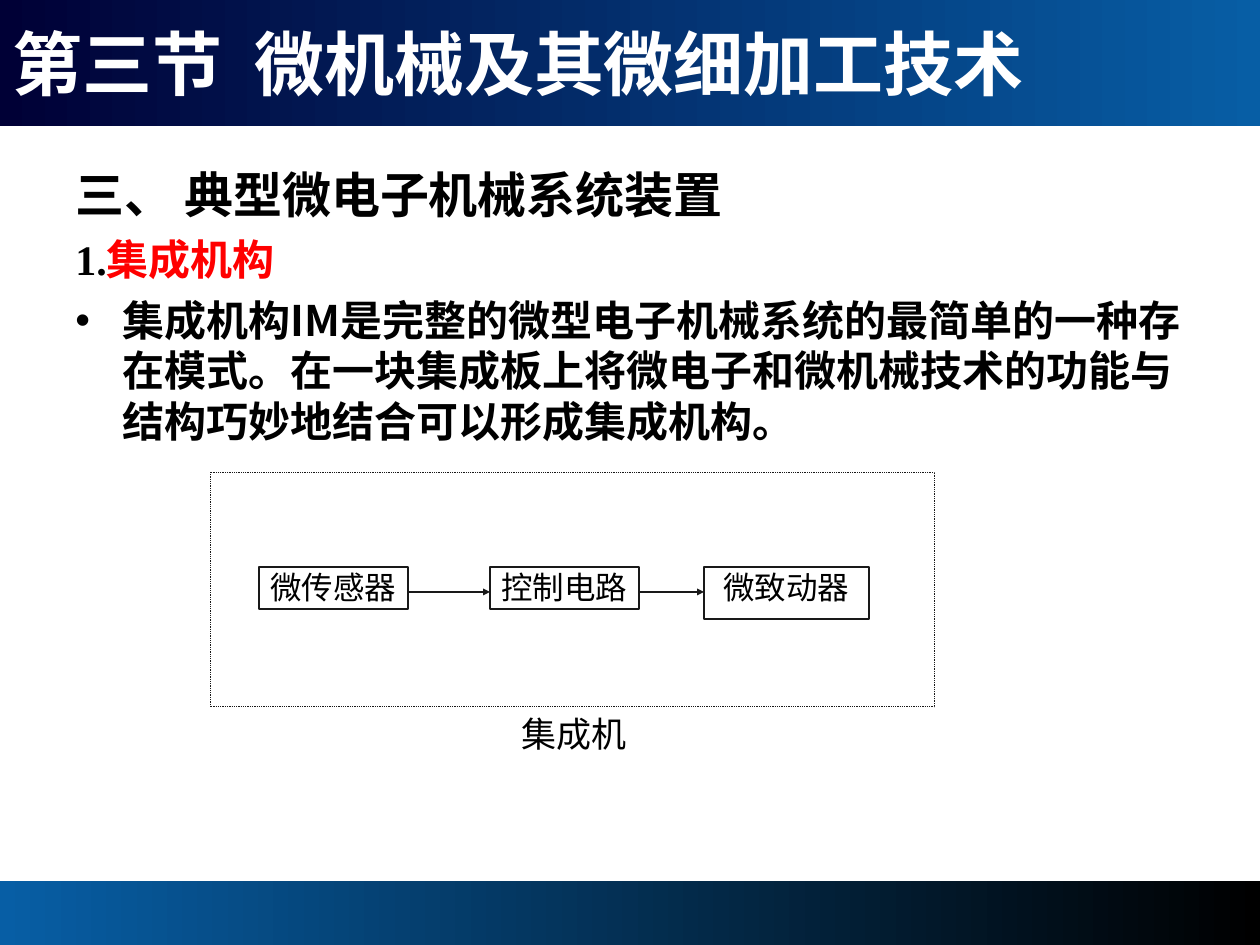
from lxml.etree import SubElement
from pptx import Presentation
from pptx.dml.color import RGBColor
from pptx.enum.dml import MSO_LINE
from pptx.enum.shapes import MSO_CONNECTOR, MSO_SHAPE
from pptx.enum.text import MSO_ANCHOR, PP_ALIGN
from pptx.oxml.ns import qn
from pptx.util import Emu, Pt

PX = 914400 // 126
WHITE = RGBColor(255, 255, 255)
BLACK = RGBColor(0, 0, 0)
RED = RGBColor(255, 0, 0)
INK = RGBColor(0x19, 0x19, 0x19)
NAVY = RGBColor(0, 0, 0x36)
BLUE = RGBColor(0x07, 0x5E, 0xA5)
SERIF, SANS, HAN = "Times New Roman", "Calibri", "Noto Sans CJK SC"

deck = Presentation()
deck.slide_width, deck.slide_height = Emu(1260 * PX), Emu(945 * PX)
slide = deck.slides.add_slide(deck.slide_layouts[6])
shapes = slide.shapes


def add_rect(x, y, w, h, line=None):
    """Add a white box, outlined when a line width in points is given."""
    box = shapes.add_shape(MSO_SHAPE.RECTANGLE, *[Emu(n * PX) for n in (x, y, w, h)])
    box.shadow.inherit = False
    box.fill.solid()
    box.fill.fore_color.rgb = WHITE
    if line:
        box.line.color.rgb = INK
        box.line.width = Pt(line)
    else:
        box.line.fill.background()
    return box


def add_text(para, text, size, font=SERIF, color=BLACK, bold=False):
    run = para.add_run()
    run.text = text
    run.font.size = Pt(size)
    run.font.name = font
    run.font.bold = bold
    run.font.color.rgb = color
    SubElement(run._r.rPr, qn("a:ea"), typeface=HAN)


# Header and footer bands
for y, h, start, end in [(0, 126, NAVY, BLUE), (881, 64, BLUE, BLACK)]:
    band = add_rect(0, y, 1260, h)
    band.fill.gradient()
    band.fill.gradient_angle = 0
    for stop, color, place in zip(band.fill.gradient_stops, (start, end), (0, 1)):
        stop.color.rgb = color
        stop.position = place

# Title, with a tab stop between number and name
title = shapes.add_textbox(0, 0, Emu(1260 * PX), Emu(126 * PX)).text_frame
title.word_wrap = True
title.vertical_anchor = MSO_ANCHOR.MIDDLE
para = title.paragraphs[0]
tabs = SubElement(para._p.get_or_add_pPr(), qn("a:tabLst"))
SubElement(tabs, qn("a:tab"), pos=str(242 * PX), algn="l")
add_text(para, "第三节\t微机械及其微细加工技术", 40, color=WHITE, bold=True)

# Body
body = shapes.add_textbox(*[Emu(n * PX) for n in (63, 158, 1134, 305)]).text_frame
body.word_wrap = True
lines = [
    [("三、 典型微电子机械系统装置", 28, SERIF, BLACK)],
    [("1.", 24, SERIF, BLACK), ("集成机构", 24, SERIF, RED)],
    [("集成机构IM是完整的微型电子机械系统的最简单的一种存在模式。"
      "在一块集成板上将微电子和微机械技术的功能与结构巧妙地结合可以形成集成机构。",
      24, HAN, BLACK)],
]
for i, runs in enumerate(lines):
    para = body.paragraphs[0] if i == 0 else body.add_paragraph()
    if i:
        para.space_before = Pt(6)
    props = para._p.get_or_add_pPr()
    props.set("marL", str(47 * PX))
    props.set("indent", str(-47 * PX))
    if i == 2:
        SubElement(props, qn("a:buFont"), typeface="Arial")
        SubElement(props, qn("a:buChar"), char="•")
    else:
        SubElement(props, qn("a:buNone"))
    for text, size, font, color in runs:
        add_text(para, text, size, font, color, bold=True)

# Diagram
frame = add_rect(210, 472, 725, 235, 0.5)
frame.line.dash_style = MSO_LINE.ROUND_DOT
labels = [
    ("微传感器", 259, 567, 149, 42, 1, 18, SANS),
    ("控制电路", 490, 567, 149, 42, 1, 18, SANS),
    ("微致动器", 704, 567, 165, 52, 1, 18, SANS),
    ("集成机", 218, 713, 712, 53, None, 20, HAN),
]
for text, x, y, w, h, line, size, font in labels:
    tf = add_rect(x, y, w, h, line).text_frame
    edge = Emu(PX if line else 0)
    tf.margin_left = tf.margin_right = tf.margin_top = tf.margin_bottom = edge
    tf.word_wrap = True
    tf.vertical_anchor = MSO_ANCHOR.TOP
    tf.paragraphs[0].alignment = PP_ALIGN.CENTER
    add_text(tf.paragraphs[0], text, size, font)

for x, end in [(408, 490), (639, 704)]:
    arrow = shapes.add_connector(
        MSO_CONNECTOR.STRAIGHT, *[Emu(n * PX) for n in (x, 592, end, 592)])
    arrow.line.color.rgb = INK
    arrow.line.width = Pt(0.75)
    SubElement(arrow.line._get_or_add_ln(), qn("a:tailEnd"), type="triangle", w="sm", len="sm")
    SubElement(arrow._element.spPr, qn("a:effectLst"))

deck.save("out.pptx")
